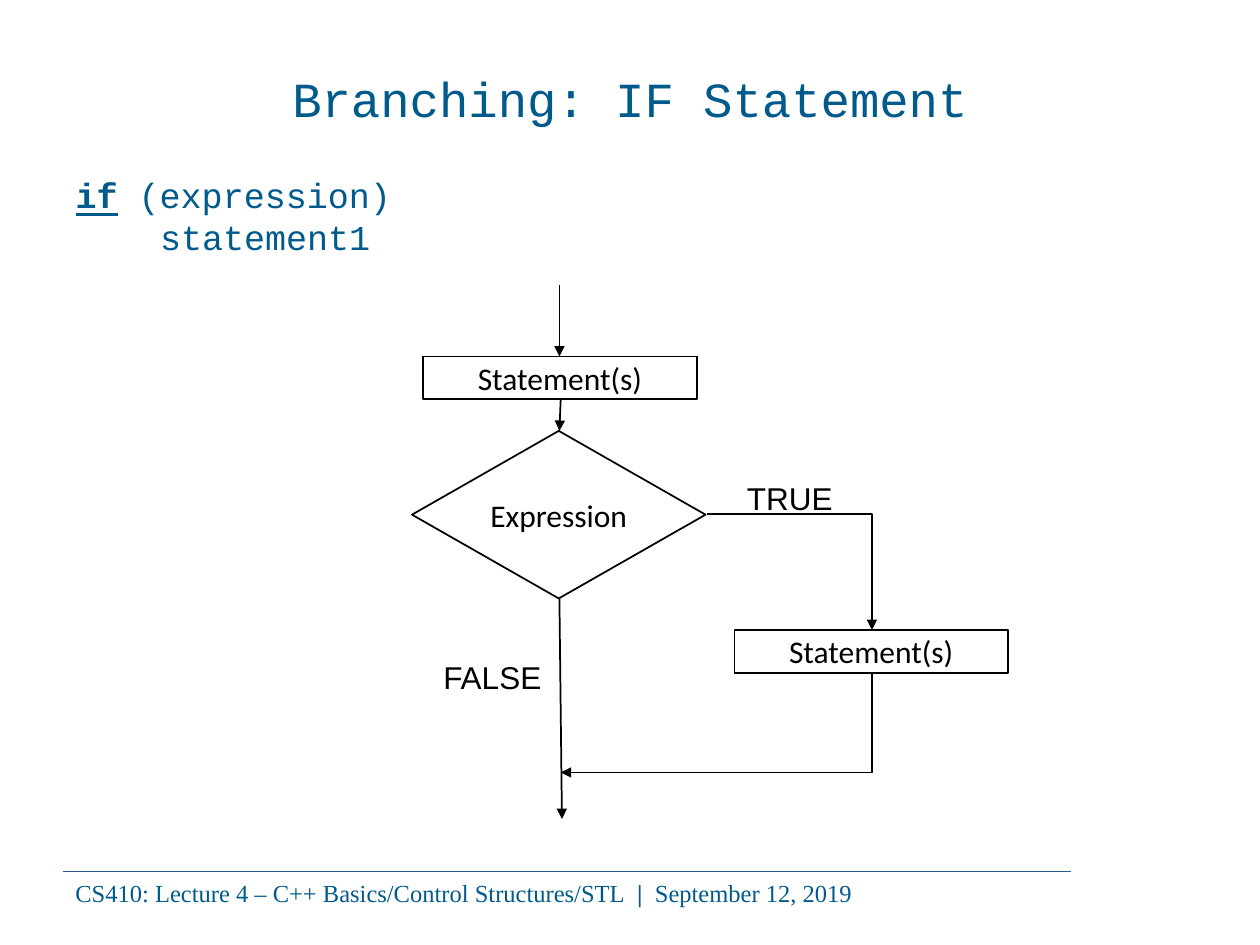
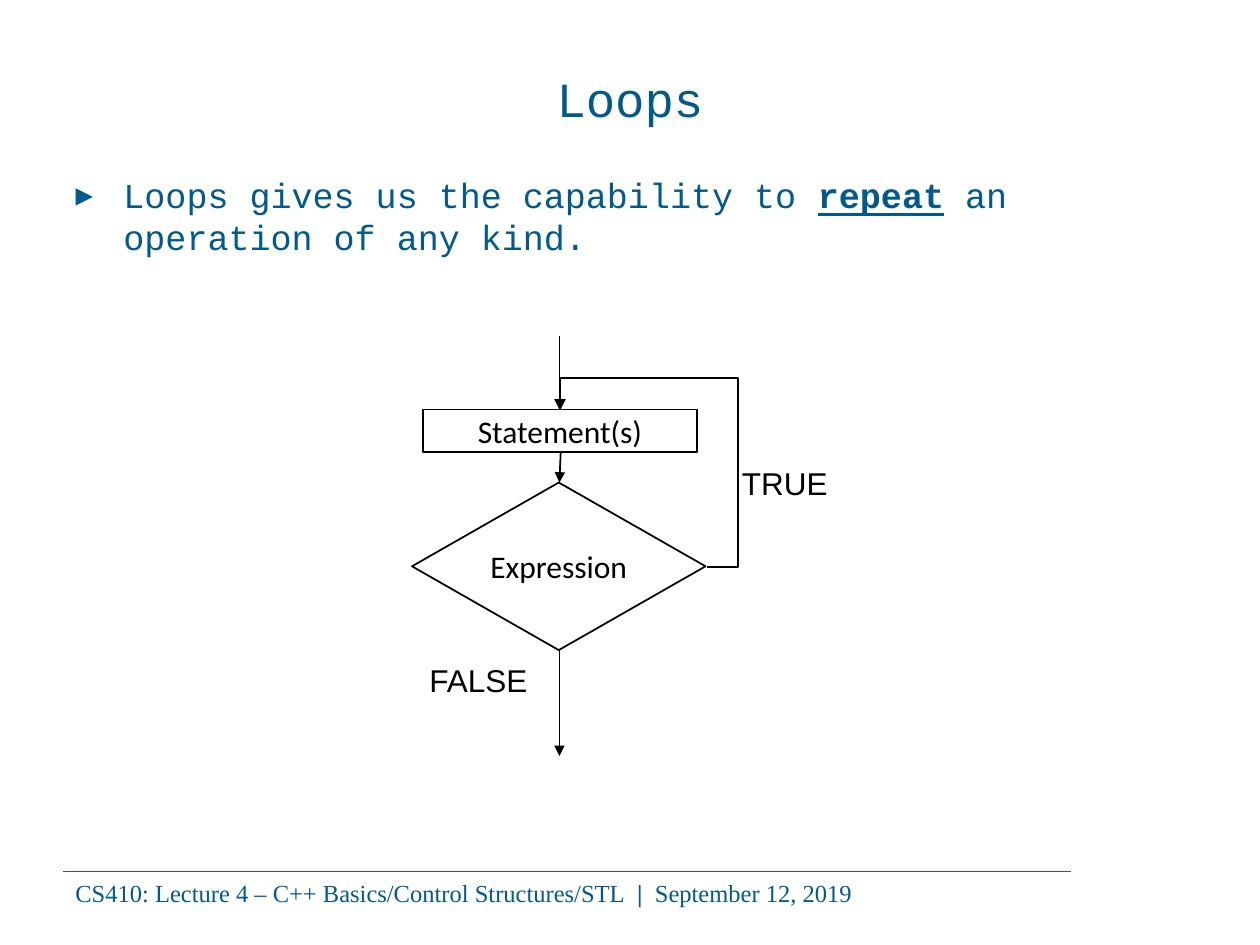
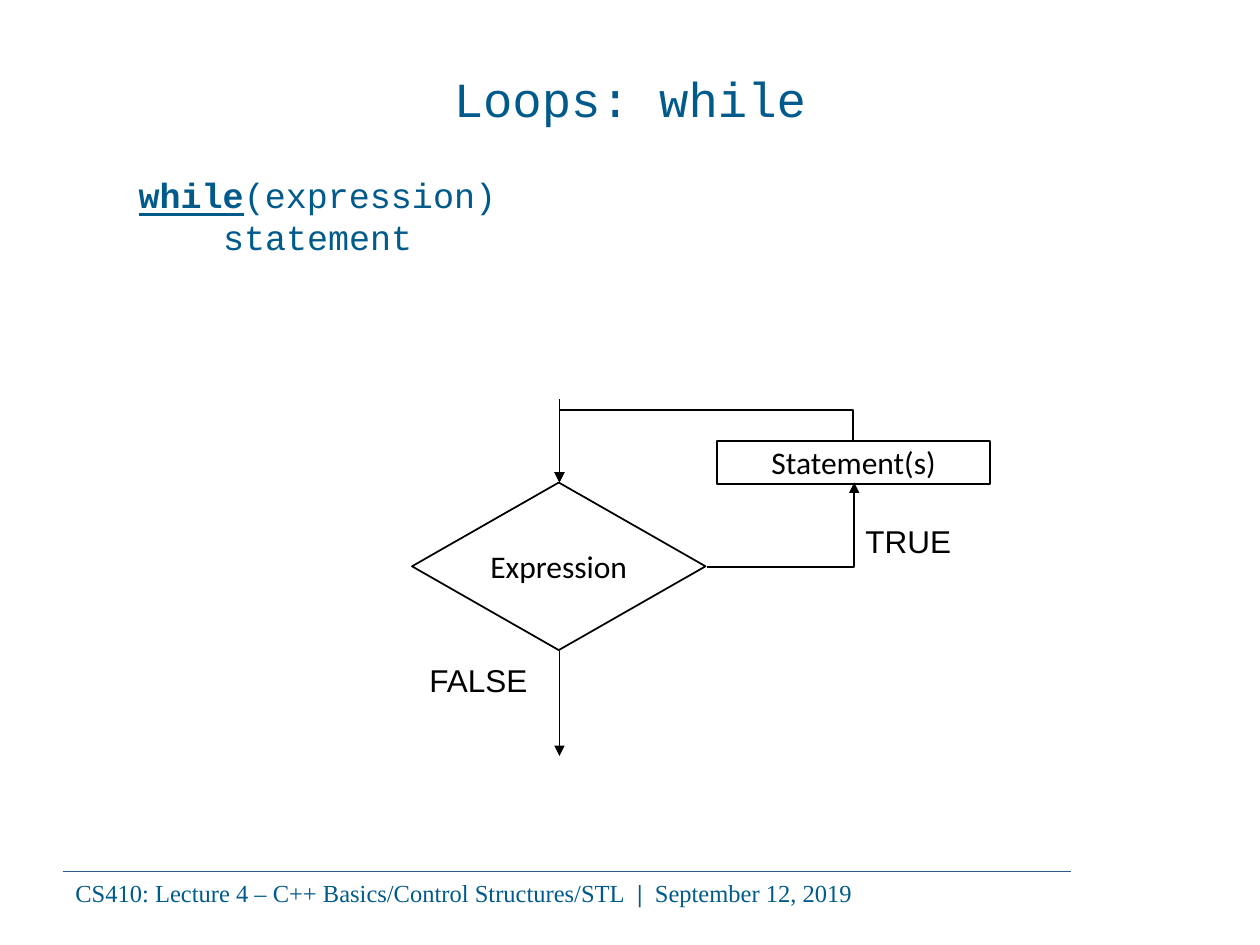
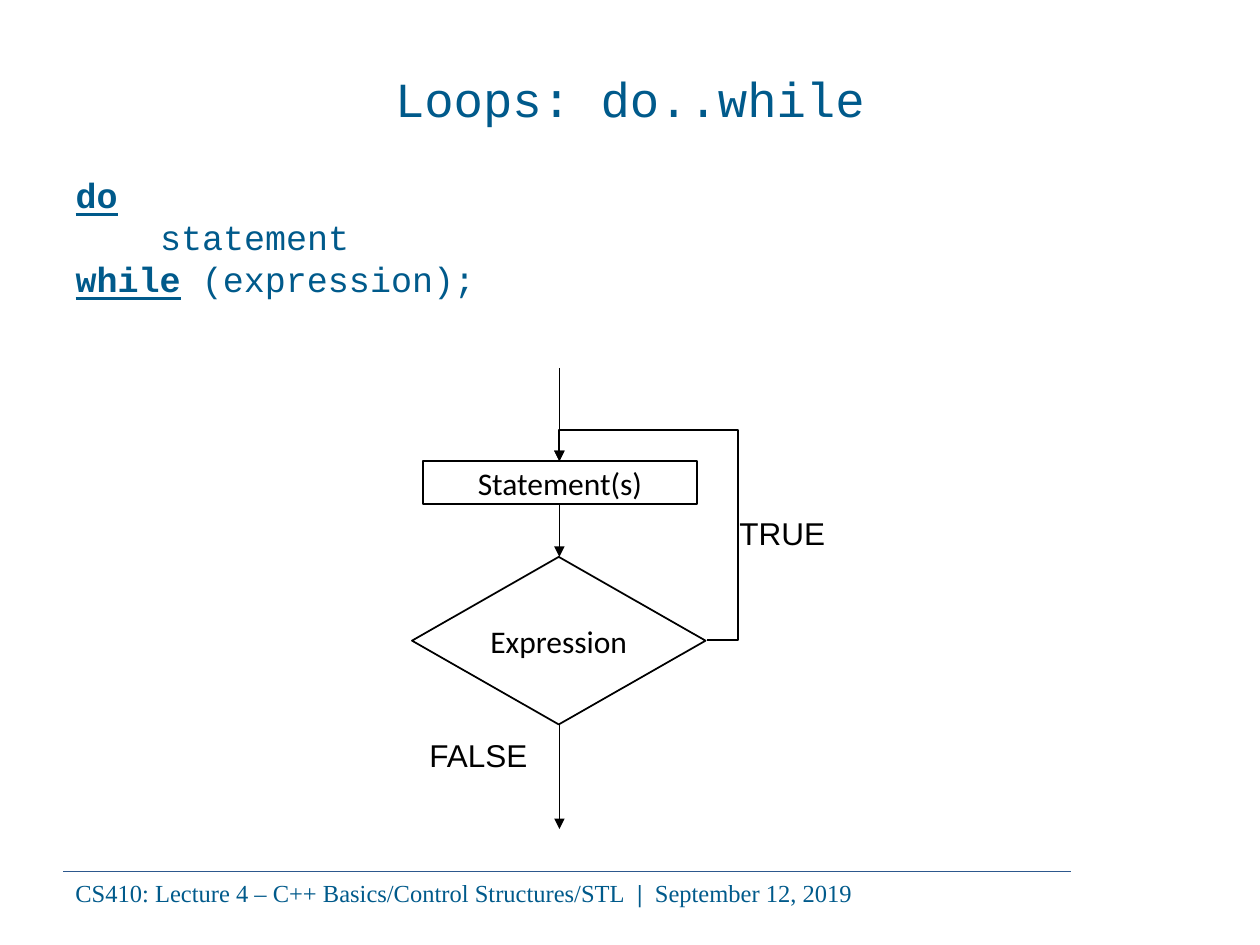
from lxml.etree import SubElement
from pptx import Presentation
from pptx.dml.color import RGBColor
from pptx.enum.shapes import MSO_CONNECTOR, MSO_SHAPE
from pptx.enum.text import MSO_ANCHOR, MSO_AUTO_SIZE, PP_ALIGN
from pptx.oxml.ns import qn
from pptx.util import Inches, Pt

BLUE = RGBColor(0x00, 0x5A, 0x8B)
RULE_BLUE = RGBColor(0x2D, 0x58, 0x8D)
BLACK = RGBColor(0x00, 0x00, 0x00)

CODE_FONT = "Courier New"
CODE_INDENT = 0.67  # four characters of 20 pt code
AXIS = 4.44         # vertical line through the flow
RIGHT_TIP = 5.61    # right corner of the diamond
LOOP_X = 5.86       # vertical part of the way back
BOX_SIZE = (2.17, 0.34)
DIAMOND_SIZE = (2.33, 1.33)
DIAMOND_LEFT = 3.27

# Body lines: left margin, level, bullet, runs as (text, is keyword).
# Arrows: start, end, then preset, turned by 90 degrees, adjustments.
SLIDES = [
    {
        "title": "Branching: IF Statement",
        "body_height": 0.83,
        "body": [
            (0, 0, None, [("if", True), (" (expression)", False)]),
            (CODE_INDENT, 0, None, [("statement1", False)]),
        ],
        "boxes": [(3.36, 2.83), (5.83, 5)],
        "diamond_top": 3.42,
        "arrows": [
            ((4.45, 3.17), (AXIS, 3.42)),
            ((RIGHT_TIP, 4.08), (6.92, 5), "bentConnector2"),
            ((6.92, 5.34), (4.45, 6.13), "bentConnector2", True),
            ((AXIS, 4.75), (4.46, 6.5)),
            ((AXIS, 2.26), (AXIS, 2.83)),
        ],
        "true_at": (5.83, 3.75),
        "false_at": (3.42, 5.17),
    },
    {
        "title": "Loops",
        "body_height": 1,
        "body": [
            (0.38, 0, "▸", [
                ("Loops gives us the capability to ", False),
                ("repeat", True),
                (" an operation of any kind.", False),
            ]),
        ],
        "boxes": [(3.36, 3.25)],
        "diamond_top": 3.83,
        "arrows": [
            ((4.45, 3.59), (AXIS, 3.83)),
            ((RIGHT_TIP, 4.5), (4.45, 3.25), "bentConnector4", False, (-21500, 120000)),
            ((AXIS, 5.17), (AXIS, 6)),
            ((AXIS, 2.67), (AXIS, 3.25)),
        ],
        "true_at": (5.79, 3.63),
        "false_at": (3.31, 5.2),
    },
    {
        "title": "Loops: while",
        "body_height": 0.92,
        "body": [
            (0.5, 1, None, [("while", True), ("(expression)", False)]),
            (0.5 + CODE_INDENT, 1, None, [("statement", False)]),
        ],
        "boxes": [(5.69, 3.5)],
        "diamond_top": 3.83,
        "arrows": [
            ((AXIS, 3.17), (AXIS, 3.83)),
            ((RIGHT_TIP, 4.5), (6.78, 3.83), "bentConnector2"),
            ((AXIS, 5.17), (AXIS, 6)),
            ((6.77, 3.5), (AXIS, 3.83), "bentConnector3", True, (-74200,)),
        ],
        "true_at": (6.77, 4.09),
        "false_at": (3.31, 5.2),
    },
    {
        "title": "Loops: do..while",
        "body_height": 1.17,
        "body": [
            (0, 0, None, [("do", True)]),
            (CODE_INDENT, 0, None, [("statement", False)]),
            (0, 0, None, [("while", True), (" (expression);", False)]),
        ],
        "boxes": [(3.36, 3.66)],
        "diamond_top": 4.42,
        "arrows": [
            ((AXIS, 4), (AXIS, 4.42)),
            ((RIGHT_TIP, 5.08), (AXIS, 3.66), "bentConnector4", False, (-21400, 117600)),
            ((AXIS, 5.75), (AXIS, 6.58)),
            ((AXIS, 2.92), (AXIS, 3.66)),
        ],
        "true_at": (5.77, 4.03),
        "false_at": (3.31, 5.79),
    },
]


def add_run(paragraph, text, font, size, color, bold=False, underline=False):
    run = paragraph.add_run()
    run.text = text
    run.font.name = font
    run.font.size = Pt(size)
    run.font.color.rgb = color
    run.font.bold = bold
    run.font.underline = underline


def add_line(slide, start, end, preset="line", turned=False, adjustments=(),
             color=BLACK, width=1, arrow=True):
    """Draw a connector; a turned one leaves downwards or upwards, not sideways."""
    (x1, y1), (x2, y2) = start, end
    if turned:
        middle_x, middle_y = (x1 + x2) / 2, (y1 + y2) / 2
        half_width, half_height = abs(y2 - y1) / 2, abs(x2 - x1) / 2
        x1, x2 = middle_x - half_width, middle_x + half_width
        y1, y2 = middle_y - half_height, middle_y + half_height
    connector = slide.shapes.add_connector(
        MSO_CONNECTOR.STRAIGHT, Inches(x1), Inches(y1), Inches(x2), Inches(y2))
    connector.line.color.rgb = color
    connector.line.width = Pt(width)
    properties = connector.element.spPr
    if turned:
        properties.find(qn("a:xfrm")).set("rot", str(90 * 60000))
    geometry = properties.find(qn("a:prstGeom"))
    geometry.set("prst", preset)
    for number, value in enumerate(adjustments, 1):
        SubElement(geometry.find(qn("a:avLst")), qn("a:gd"),
                   name=f"adj{number}", fmla=f"val {value}")
    if arrow:
        SubElement(properties.find(qn("a:ln")), qn("a:tailEnd"), type="triangle")
    SubElement(properties, qn("a:effectLst"))
    return connector


presentation = Presentation()
presentation.slide_width = Inches(10)
presentation.slide_height = Inches(7.5)
layout = presentation.slide_layouts[1]
slides = [presentation.slides.add_slide(layout) for _ in SLIDES]

# The footer is built on the first slide and then moved to the shared layout.
footer_rule = add_line(slides[0], (0.5, 6.92), (8.5, 6.92),
                       color=RULE_BLUE, width=0.5, arrow=False)
footer = slides[0].shapes.add_textbox(Inches(0.5), Inches(6.92), Inches(8.17), Inches(0.34))
footer.text_frame.word_wrap = True
for text, bold in [
    ("CS410: Lecture 4 – C++ Basics/Control Structures/STL  ", False),
    ("|  ", True),
    ("September 12, 2019", False),
]:
    add_run(footer.text_frame.paragraphs[0], text, "Times New Roman", 14, BLUE, bold)
for shape_id, shape in enumerate((footer_rule, footer), 20):
    shape.element.xpath(".//p:cNvPr")[0].set("id", str(shape_id))
    layout.shapes.element.append(shape.element)

for slide, content in zip(slides, SLIDES):
    title = slide.shapes.title
    title.left, title.top = Inches(0.5), Inches(0.3)
    title.width, title.height = Inches(9), Inches(0.95)
    title.text_frame.vertical_anchor = MSO_ANCHOR.MIDDLE
    paragraph = title.text_frame.paragraphs[0]
    paragraph.alignment = PP_ALIGN.CENTER
    add_run(paragraph, content["title"], CODE_FONT, 28, BLUE)

    body = slide.placeholders[1]
    body.left, body.top = Inches(0.5), Inches(1.33)
    body.width, body.height = Inches(8.58), Inches(content["body_height"])
    frame = body.text_frame
    frame.auto_size = MSO_AUTO_SIZE.NONE
    for index, (margin, level, bullet, runs) in enumerate(content["body"]):
        paragraph = frame.add_paragraph() if index else frame.paragraphs[0]
        paragraph.level = level
        paragraph.space_before = Pt(0 if index else 5)
        settings = paragraph._p.get_or_add_pPr()
        settings.set("marL", str(Inches(margin)))
        settings.set("indent", str(-Inches(margin) if bullet else 0))
        if bullet:
            bullet_color = SubElement(settings, qn("a:buClr"))
            SubElement(bullet_color, qn("a:srgbClr"), val=str(BLUE))
            SubElement(settings, qn("a:buChar"), char=bullet)
        else:
            SubElement(settings, qn("a:buNone"))
        for text, keyword in runs:
            add_run(paragraph, text, CODE_FONT, 20, BLUE, keyword, keyword)

    nodes = [(MSO_SHAPE.RECTANGLE, place, BOX_SIZE, "Statement(s)")
             for place in content["boxes"]]
    nodes.append((MSO_SHAPE.DIAMOND, (DIAMOND_LEFT, content["diamond_top"]),
                  DIAMOND_SIZE, "Expression"))
    for kind, place, size, text in nodes:
        node = slide.shapes.add_shape(kind, *map(Inches, place + size))
        node.shadow.inherit = False
        node.fill.background()
        node.line.color.rgb = BLACK
        node.line.width = Pt(1)
        frame = node.text_frame
        frame.margin_left = frame.margin_right = 0
        frame.vertical_anchor = MSO_ANCHOR.MIDDLE
        paragraph = frame.paragraphs[0]
        paragraph.alignment = PP_ALIGN.CENTER
        add_run(paragraph, text, "Calibri", 18, BLACK)

    for arrow in content["arrows"]:
        add_line(slide, *arrow)

    for text, place, width in [("TRUE", content["true_at"], 1),
                               ("FALSE", content["false_at"], 1.04)]:
        label = slide.shapes.add_textbox(*map(Inches, place + (width, 0.4)))
        label.text_frame.word_wrap = True
        add_run(label.text_frame.paragraphs[0], text, "Arial", 18, BLACK)

presentation.save("out.pptx")
